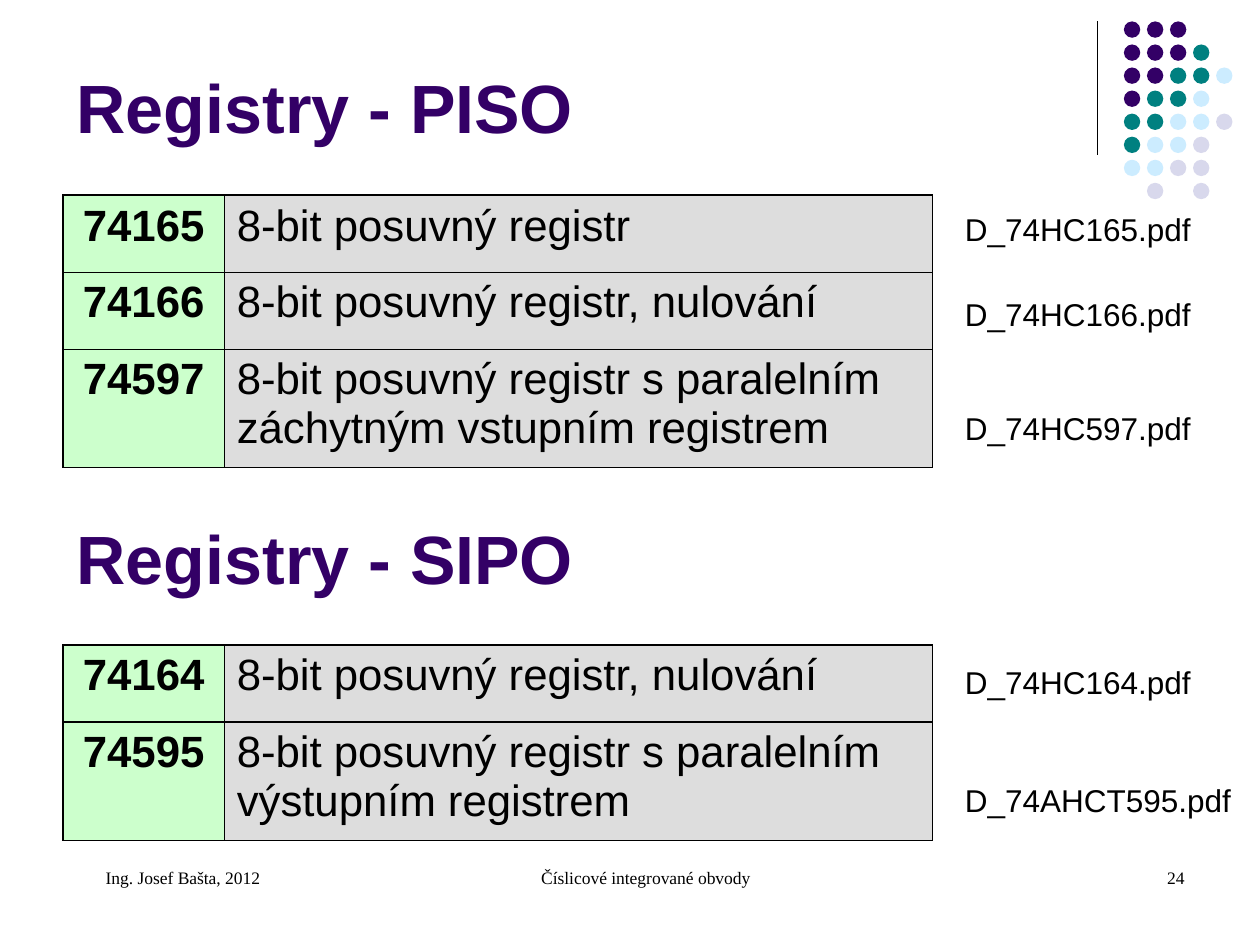
import pptx
import pptx.dml.color
import pptx.enum.shapes
import pptx.enum.text
import pptx.oxml
import pptx.oxml.ns
import pptx.util

deck = pptx.Presentation()
deck.slide_width = pptx.util.Inches(10)
deck.slide_height = pptx.util.Inches(7.5)
page = deck.slides.add_slide(deck.slide_layouts[6])
column = deck.slide_width / 100
row = deck.slide_height / 75

align = pptx.enum.text.PP_ALIGN
anchor = pptx.enum.text.MSO_ANCHOR
title_format = {"name": "Arial", "size": pptx.util.Pt(39), "bold": True}
code_format = {"name": "Arial", "size": pptx.util.Pt(25), "bold": True}
cell_format = {"name": "Arial", "size": pptx.util.Pt(25), "bold": False}
file_format = {"name": "Arial", "size": pptx.util.Pt(18), "bold": False}
footer_format = {"name": "Times New Roman", "size": pptx.util.Pt(10), "bold": False}


def color(value):
    return pptx.dml.color.RGBColor.from_string(value)


def write(frame, text, formats, ink="000000", alignment=align.LEFT):
    frame.word_wrap = True
    para = frame.paragraphs[0]
    para.alignment = alignment
    span = para.add_run()
    span.text = text
    for name, value in formats.items():
        setattr(span.font, name, value)
    span.font.color.rgb = color(ink)
    return para


divider = page.shapes.add_connector(
    pptx.enum.shapes.MSO_CONNECTOR.STRAIGHT,
    int(87.1 * column), int(1.7 * row), int(87.1 * column), int(12.3 * row))
divider.line.color.rgb = color("000000")
divider.line.width = pptx.util.Pt(0.75)
divider._element.spPr.append(pptx.oxml.parse_xml(
    f"<a:effectLst {pptx.oxml.ns.nsdecls('a')}/>"))

dot_colors = {"P": "330066", "T": "008080", "B": "CCECFF", "L": "D8D8EC"}
dot_rows = ["PPP", "PPPT", "PPTTB", "PTTB", "TTBBL", "TBBL", "BBLL", " L L"]
dots = page.shapes.add_group_shape()
for y, letters in enumerate(dot_rows):
    for x, letter in enumerate(letters):
        if letter == " ":
            continue
        dot = dots.shapes.add_shape(
            pptx.enum.shapes.MSO_SHAPE.OVAL,
            int((89.2 + 1.83 * x) * column), int((1.7 + 1.83 * y) * row),
            int(1.3 * column), int(1.3 * row))
        dot.shadow.inherit = False
        dot.fill.solid()
        dot.fill.fore_color.rgb = color(dot_colors[letter])
        dot.line.fill.background()

two_line, one_line = 9.4, 6.1
sections = [
    ("Registry - PISO", 3.6, 15.5, 0.45, [
        ("74165", "8-bit posuvný registr", one_line),
        ("74166", "8-bit posuvný registr, nulování", one_line),
        ("74597", "8-bit posuvný registr s paralelním záchytným vstupním registrem", two_line)]),
    ("Registry - SIPO", 39.4, 51.2, 1.08, [
        ("74164", "8-bit posuvný registr, nulování", one_line),
        ("74595", "8-bit posuvný registr s paralelním výstupním registrem", two_line)]),
]
for title, title_top, table_top, inner_width, registers in sections:
    box = page.shapes.add_textbox(
        int(5.1 * column), int(title_top * row), int(82.5 * column), int(8.6 * row))
    box.text_frame.vertical_anchor = anchor.BOTTOM
    write(box.text_frame, title, title_format, "330066")

    table = page.shapes.add_table(
        len(registers), 2, int(5 * column), int(table_top * row), int(69 * column),
        int(sum(height for _, _, height in registers) * row)).table
    table.first_row = table.horz_banding = False
    table.columns[0].width = int(12.8 * column)
    table.columns[1].width = int(56.2 * column)
    last = len(registers) - 1
    for y, (code, description, height) in enumerate(registers):
        table.rows[y].height = int(height * row)
        entries = [(code, code_format, "CCFFCC", align.CENTER),
                   (description, cell_format, "DDDDDD", align.LEFT)]
        for x, (text, formats, fill, alignment) in enumerate(entries):
            cell = table.cell(y, x)
            write(cell.text_frame, text, formats, alignment=alignment)
            borders = {"lnL": 0.45 if x else 1.08, "lnR": 1.08 if x else 0.45,
                       "lnT": inner_width if y else 1.08,
                       "lnB": 1.08 if y == last else inner_width}
            for side, width in borders.items():
                cell._tc.get_or_add_tcPr().append(pptx.oxml.parse_xml(
                    f"<a:{side} {pptx.oxml.ns.nsdecls('a')} w='{pptx.util.Pt(width)}'>"
                    f"<a:solidFill><a:srgbClr val='000000'/></a:solidFill></a:{side}>"))
            cell.fill.solid()
            cell.fill.fore_color.rgb = color(fill)

files = [("D_74HC165.pdf", 16.2, 20.9), ("D_74HC166.pdf", 22.9, 20.9),
         ("D_74HC597.pdf", 32, 20.9), ("D_74HC164.pdf", 52.1, 20.9),
         ("D_74AHCT595.pdf", 61.5, 24.4)]
for text, top, width in files:
    box = page.shapes.add_textbox(
        int(75.6 * column), int(top * row), int(width * column), int(4 * row))
    write(box.text_frame, text, file_format)

footers = [("Ing. Josef Bašta, 2012", 5, 23.3, align.LEFT),
           ("Číslicové integrované obvody", 34.2, 31.7, align.CENTER),
           ("24", 71.7, 23.3, align.RIGHT)]
for text, left, width, alignment in footers:
    box = page.shapes.add_textbox(
        int(left * column), int(68.3 * row), int(width * column), int(5 * row))
    para = write(box.text_frame, text, footer_format, alignment=alignment)
    para._p.get_or_add_pPr().set("marL", str(int(2.4 * column)))

deck.save("out.pptx")
